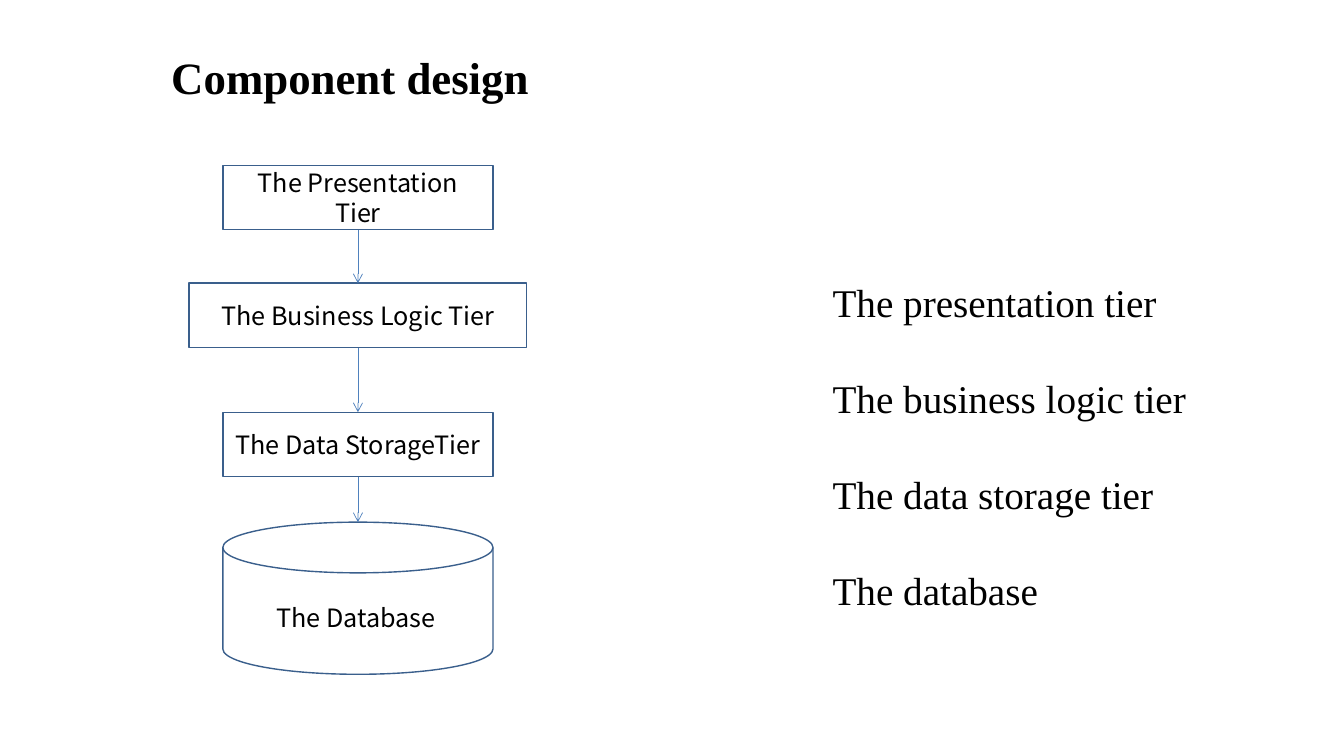
"""Build the component design slide: a tier diagram beside a list of its parts."""
from dataclasses import dataclass
from itertools import pairwise

from lxml.etree import SubElement
from pptx import Presentation
from pptx.dml.color import RGBColor
from pptx.enum.shapes import MSO_CONNECTOR, MSO_SHAPE
from pptx.enum.text import MSO_ANCHOR, PP_ALIGN
from pptx.oxml.ns import qn
from pptx.slide import Slide
from pptx.text.text import _Paragraph
from pptx.util import Inches, Pt

COLORS = {"text": "000000", "fill": "FFFFFF", "outline": "3A5F8C", "arrow": "4F81BD"}
SERIF = "Times New Roman"
SANS = "Noto Sans CJK SC"
AXIS = 3.55


@dataclass(frozen=True)
class Tier:
    label: str
    top: float
    width: float = 2.68
    height: float = 0.64
    outline: MSO_SHAPE = MSO_SHAPE.RECTANGLE


@dataclass(frozen=True)
class Caption:
    lines: tuple[str, ...]
    box: tuple[float, float, float, float]
    size: int
    font: str
    bold: bool = False
    gap: int = 0


TIERS = (
    Tier("The Presentation Tier", 1.64),
    Tier("The Business Logic Tier", 2.81, width=3.35),
    Tier("The Data StorageTier", 4.09),
    Tier("", 5.18, height=1.51, outline=MSO_SHAPE.FLOWCHART_MAGNETIC_DISK),
)
CAPTIONS = (
    Caption(("Component design",), (1.6, 0.44, 9.55, 0.64), 32, SERIF, bold=True),
    Caption(
        ("The presentation tier", "The business logic tier", "The data storage tier", "The database"),
        (8.16, 2.71, 4.64, 3.4), 28, SERIF, gap=35,
    ),
    Caption(("The Database",), (2.64, 5.93, 1.82, 0.4), 18, SANS),
)


def color(name: str) -> RGBColor:
    return RGBColor.from_string(COLORS[name])


def style(paragraph: _Paragraph, size: int, font: str, bold: bool = False) -> None:
    paragraph.font.size = Pt(size)
    paragraph.font.name = font
    paragraph.font.bold = bold
    paragraph.font.color.rgb = color("text")


def draw_caption(slide: Slide, caption: Caption) -> None:
    frame = slide.shapes.add_textbox(*map(Inches, caption.box)).text_frame
    frame.word_wrap = True
    frame.text = "\n".join(caption.lines)
    for paragraph in frame.paragraphs:
        style(paragraph, caption.size, caption.font, caption.bold)
    for paragraph in frame.paragraphs[:-1]:
        paragraph.space_after = Pt(caption.gap)


def draw_tier(slide: Slide, tier: Tier) -> None:
    box = (AXIS - tier.width / 2, tier.top, tier.width, tier.height)
    node = slide.shapes.add_shape(tier.outline, *map(Inches, box))
    node.shadow.inherit = False
    node.fill.solid()
    node.fill.fore_color.rgb = color("fill")
    node.line.color.rgb = color("outline")
    node.line.width = Pt(1)
    if tier.label:
        frame = node.text_frame
        frame.word_wrap = True
        frame.vertical_anchor = MSO_ANCHOR.MIDDLE
        frame.text = tier.label
        frame.paragraphs[0].alignment = PP_ALIGN.CENTER
        style(frame.paragraphs[0], 18, SANS)


def draw_arrow(slide: Slide, upper: Tier, lower: Tier) -> None:
    ends = (AXIS, upper.top + upper.height, AXIS, lower.top)
    arrow = slide.shapes.add_connector(MSO_CONNECTOR.STRAIGHT, *map(Inches, ends))
    arrow.line.color.rgb = color("arrow")
    arrow.line.width = Pt(0.5)
    SubElement(arrow.line._get_or_add_ln(), qn("a:tailEnd"), type="arrow")
    SubElement(arrow._element.spPr, qn("a:effectLst"))


def main() -> None:
    deck = Presentation()
    deck.slide_width, deck.slide_height = Inches(13.33), Inches(7.5)
    slide = deck.slides.add_slide(deck.slide_layouts[6])
    for tier in TIERS:
        draw_tier(slide, tier)
    for caption in CAPTIONS:
        draw_caption(slide, caption)
    for upper, lower in pairwise(TIERS):
        draw_arrow(slide, upper, lower)
    deck.save("out.pptx")


if __name__ == "__main__":
    main()
